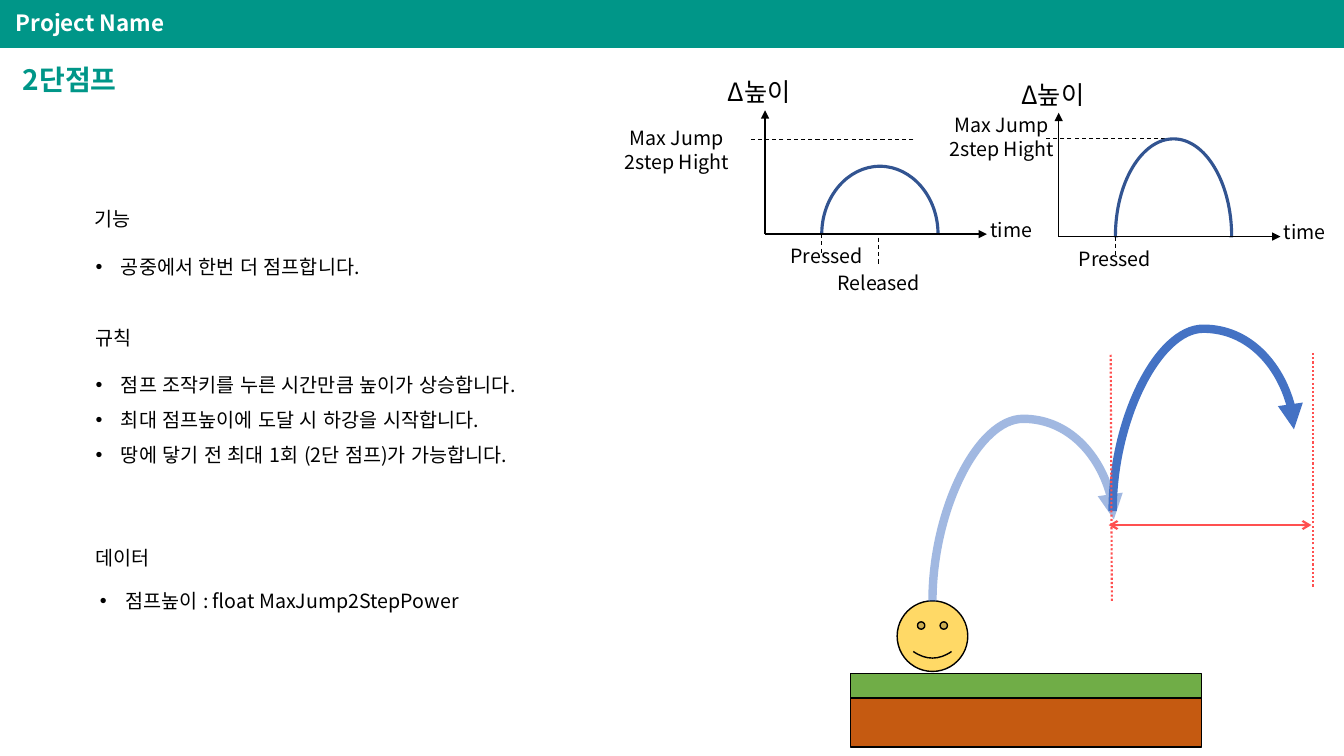
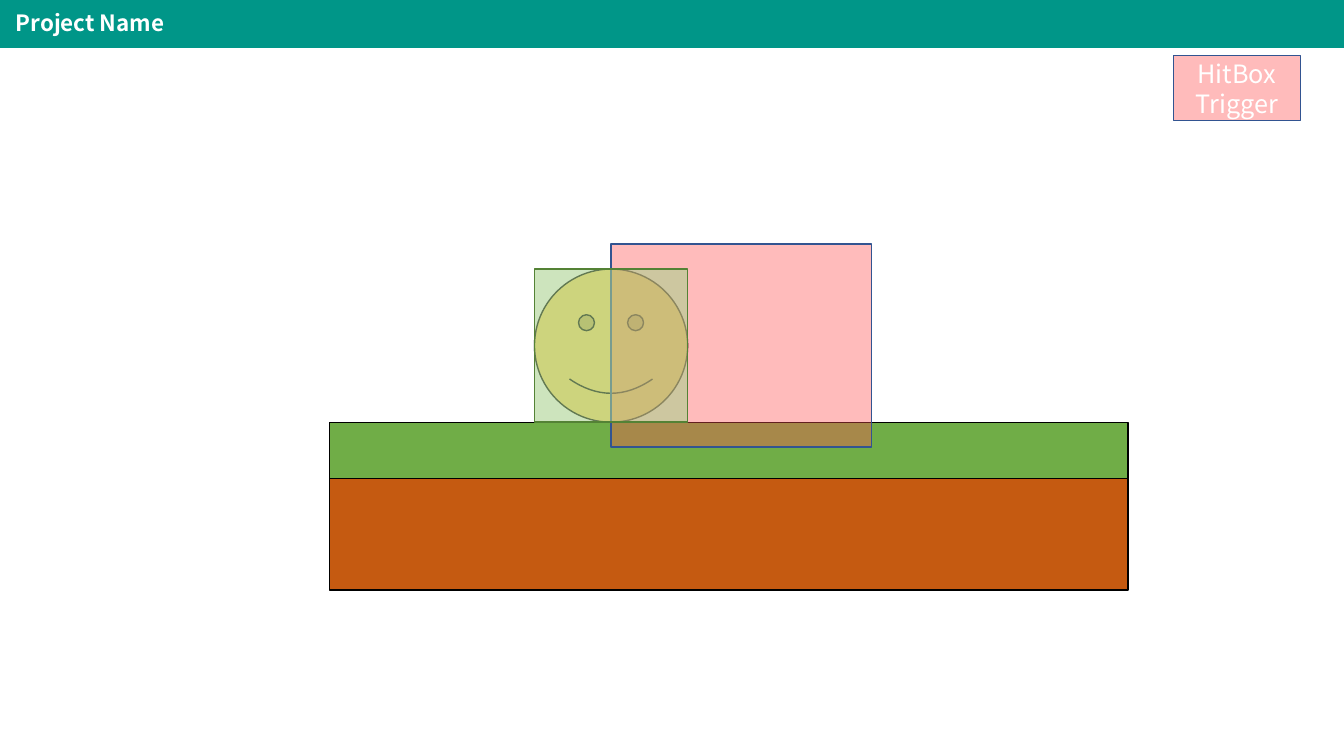
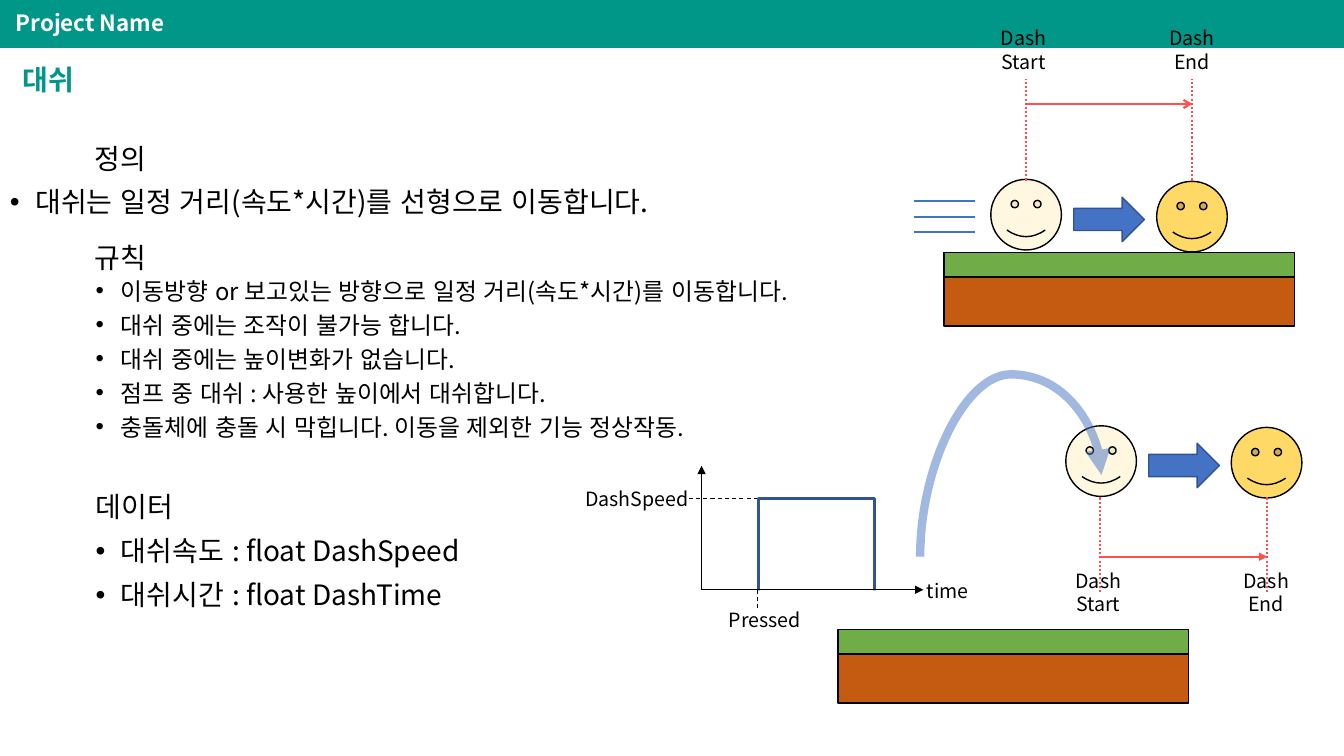
from dataclasses import dataclass
from typing import Optional

import pptx
import pptx.dml.color
import pptx.enum.dml
import pptx.enum.lang
import pptx.enum.shapes
import pptx.enum.text
import pptx.oxml.ns
import pptx.shapes.autoshape
import pptx.shapes.connector
import pptx.slide
import pptx.text.text
import pptx.util
from lxml import etree

Cm = pptx.util.Cm
Pt = pptx.util.Pt
RGBColor = pptx.dml.color.RGBColor
Shape = pptx.shapes.autoshape.Shape
Connector = pptx.shapes.connector.Connector
Slide = pptx.slide.Slide
ShapeType = pptx.enum.shapes.MSO_SHAPE
LineDash = pptx.enum.dml.MSO_LINE
Align = pptx.enum.text.PP_ALIGN
qn = pptx.oxml.ns.qn

FONT = "Noto Sans CJK KR"
TEAL = RGBColor(0x00, 0x96, 0x88)
WHITE = RGBColor(0xFF, 0xFF, 0xFF)
BLACK = RGBColor(0x00, 0x00, 0x00)
NAVY = RGBColor(0x32, 0x54, 0x91)
BLUE = RGBColor(0x44, 0x72, 0xC4)
RED = RGBColor(0xFF, 0x50, 0x50)
GRASS = RGBColor(0x70, 0xAD, 0x47)
SOIL = RGBColor(0xC5, 0x5A, 0x11)
YELLOW = RGBColor(0xFF, 0xD9, 0x66)
LIGHT_GREEN = RGBColor(0xA9, 0xD1, 0x8E)
DARK_GREEN = RGBColor(0x54, 0x82, 0x35)

SLIDE_WIDTH, SLIDE_HEIGHT = 33.87, 19.05
FACE_SIZE = 1.78
TEXT_LEFT, TEXT_WIDTH = 2.16, 19.05
BULLET_INDENT = 0.64


@dataclass(frozen=True)
class TextStyle:
    size: float = 14
    color: RGBColor = BLACK
    bold: bool = False
    align: Align = Align.LEFT
    line_spacing: Optional[float] = None
    space_before: float = 0
    bullet: bool = False


@dataclass(frozen=True)
class LineStyle:
    color: RGBColor
    width: float
    dash: Optional[LineDash] = None
    head: str = ""
    tail: str = ""
    opacity: int = 100


@dataclass(frozen=True)
class TextBlock:
    left: float
    top: float
    width: float
    height: float
    lines: tuple[str, ...]
    style: TextStyle


@dataclass(frozen=True)
class Graph:
    """A height or speed curve over time; offsets count from the origin."""
    left: float
    base: float
    level: float
    level_end: float
    level_label: tuple[str, ...]
    label_left: float
    label_rise: float
    curve_rise: float
    pressed_center: float
    pressed_drop: float = 0.13
    time_rise: float = 0.54
    is_arch: bool = True


@dataclass(frozen=True)
class DashScene:
    start_face: tuple[float, float]
    end_face: tuple[float, float]
    arrow: tuple[float, float]
    guides: tuple[float, float]
    guide_span: tuple[float, float]
    distance_top: float
    distance_tail: str
    labels: tuple[float, float]
    labels_top: float


LABEL = TextStyle(align=Align.CENTER)
AXIS = LineStyle(BLACK, 1, tail="triangle")
HELPER = LineStyle(BLACK, 0.75, LineDash.DASH)
GUIDE = LineStyle(RED, 1.5, LineDash.ROUND_DOT)
SPEED = LineStyle(BLUE, 1.5)
JUMP = LineStyle(BLUE, 6, tail="triangle")
FADED_JUMP = LineStyle(BLUE, 6, tail="triangle", opacity=50)


def heading(size: float) -> TextStyle:
    return TextStyle(size, line_spacing=0.9, space_before=10)


def bullets(size: float, line_spacing: float = 0.9) -> TextStyle:
    return TextStyle(size, line_spacing=line_spacing, space_before=10, bullet=True)


def write_text(frame: pptx.text.text.TextFrame, lines: tuple[str, ...], style: TextStyle) -> None:
    frame.word_wrap = True
    frame.text = "\n".join(lines)
    for paragraph in frame.paragraphs:
        paragraph.alignment = style.align
        paragraph.space_before = Pt(style.space_before)
        if style.line_spacing:
            paragraph.line_spacing = style.line_spacing
        if style.bullet:
            properties = paragraph._p.get_or_add_pPr()
            properties.set("marL", str(Cm(BULLET_INDENT)))
            properties.set("indent", str(-Cm(BULLET_INDENT)))
            etree.SubElement(properties, qn("a:buFont")).set("typeface", "Arial")
            etree.SubElement(properties, qn("a:buChar")).set("char", "•")
        for run in paragraph.runs:
            run.font.size = Pt(style.size)
            run.font.bold = style.bold
            run.font.color.rgb = style.color
            run.font.language_id = pptx.enum.lang.MSO_LANGUAGE_ID.KOREAN
            run.font.name = FONT
            etree.SubElement(run._r.get_or_add_rPr(), qn("a:ea")).set("typeface", FONT)


def add_text(slide: Slide, block: TextBlock) -> Shape:
    box = slide.shapes.add_textbox(Cm(block.left), Cm(block.top), Cm(block.width), Cm(block.height))
    write_text(box.text_frame, block.lines, block.style)
    return box


def add_label(slide: Slide, left: float, top: float, width: float, *lines: str) -> None:
    add_text(slide, TextBlock(left, top, width, 0.25 + 0.6 * len(lines), lines, LABEL))


def set_opacity(parent: etree._Element, percent: int) -> None:
    if percent < 100:
        color = parent.find(f"{qn('a:solidFill')}/{qn('a:srgbClr')}")
        etree.SubElement(color, qn("a:alpha")).set("val", str(percent * 1000))


def style_shape(shape: Shape, fill: Optional[RGBColor], line: Optional[RGBColor] = None,
                line_width: float = 1, opacity: int = 100) -> None:
    shape.shadow.inherit = False
    if fill is None:
        shape.fill.background()
    else:
        shape.fill.solid()
        shape.fill.fore_color.rgb = fill
        set_opacity(shape.element.spPr, opacity)
    if line is None:
        shape.line.fill.background()
    else:
        shape.line.color.rgb = line
        shape.line.width = Pt(line_width)


def add_block(slide: Slide, kind: ShapeType, left: float, top: float, width: float, height: float,
              fill: Optional[RGBColor], line: Optional[RGBColor] = None,
              line_width: float = 1, opacity: int = 100) -> Shape:
    shape = slide.shapes.add_shape(kind, Cm(left), Cm(top), Cm(width), Cm(height))
    style_shape(shape, fill, line, line_width, opacity)
    return shape


def style_connector(connector: Connector, style: LineStyle) -> None:
    connector.line.color.rgb = style.color
    connector.line.width = Pt(style.width)
    if style.dash:
        connector.line.dash_style = style.dash
    properties = connector.element.spPr
    line = properties.find(qn("a:ln"))
    set_opacity(line, style.opacity)
    for tag, arrowhead in (("a:headEnd", style.head), ("a:tailEnd", style.tail)):
        if arrowhead:
            etree.SubElement(line, qn(tag)).set("type", arrowhead)
    etree.SubElement(properties, qn("a:effectLst"))


def add_line(slide: Slide, x1: float, y1: float, x2: float, y2: float, style: LineStyle) -> None:
    connector = slide.shapes.add_connector(
        pptx.enum.shapes.MSO_CONNECTOR.STRAIGHT, Cm(x1), Cm(y1), Cm(x2), Cm(y2))
    style_connector(connector, style)


def add_jump(slide: Slide, left: float, bottom: float, style: LineStyle) -> None:
    """Draw a curved arrow that rises, turns and lands to the right, above its start."""
    run, rise = 4.57, 2.06
    box_left = left + (run - rise) / 2
    box_top = bottom - (run + rise) / 2
    connector = slide.shapes.add_connector(
        pptx.enum.shapes.MSO_CONNECTOR.CURVE,
        Cm(box_left), Cm(box_top), Cm(box_left + rise), Cm(box_top + run))
    properties = connector.element.spPr
    for name, value in (("rot", "5400000"), ("flipH", "1"), ("flipV", "1")):
        properties.find(qn("a:xfrm")).set(name, value)
    adjustments = properties.find(qn("a:prstGeom")).get_or_add_avLst()
    guide = etree.SubElement(adjustments, qn("a:gd"))
    guide.set("name", "adj1")
    guide.set("fmla", "val 223100")
    style_connector(connector, style)


def add_face(slide: Slide, left: float, top: float, size: float = FACE_SIZE, opacity: int = 100) -> None:
    add_block(slide, ShapeType.SMILEY_FACE, left, top, size, size, YELLOW, BLACK, opacity=opacity)


def add_ground(slide: Slide, left: float, top: float, width: float = 8.84, height: float = 1.86) -> None:
    grass = height / 3
    add_block(slide, ShapeType.RECTANGLE, left, top, width, grass, GRASS, BLACK)
    add_block(slide, ShapeType.RECTANGLE, left, top + grass, width, height - grass, SOIL, BLACK)


def round_corners(shape: Shape) -> None:
    """Turn the segments of a diamond outline into quarter ellipses."""
    roundness = 0.55
    points = [(int(point.get("x")), int(point.get("y"))) for point in shape.element.iter(qn("a:pt"))]
    for index, segment in enumerate(list(shape.element.iter(qn("a:lnTo")))):
        (x1, y1), (x2, y2) = points[index], points[index + 1]
        toward_x, toward_y = round((x2 - x1) * roundness), round((y2 - y1) * roundness)
        if index % 2 == 0:
            controls = (x1, y1 + toward_y), (x2 - toward_x, y2)
        else:
            controls = (x1 + toward_x, y1), (x2, y2 - toward_y)
        curve = etree.Element(qn("a:cubicBezTo"))
        for x, y in (*controls, (x2, y2)):
            etree.SubElement(curve, qn("a:pt"), x=str(x), y=str(y))
        segment.getparent().replace(segment, curve)


def add_arch(slide: Slide, left: float, base: float, width: float, rise: float) -> None:
    """Draw a half ellipse that closes with a shallow bulge below its base."""
    middle, right = Cm(left + width / 2), Cm(left + width)
    start = Cm(left), Cm(base)
    builder = slide.shapes.build_freeform(*start)
    builder.add_line_segments(
        [(middle, Cm(base - rise)), (right, Cm(base)), (middle, Cm(base + 0.3)), start], close=True)
    arch = builder.convert_to_shape()
    round_corners(arch)
    style_shape(arch, None, NAVY, 2.25)


def add_graph(slide: Slide, graph: Graph) -> None:
    left, base = graph.left, graph.base
    curve_left, curve_width, pressed = left + 1.43, 2.93, left + 1.42
    level = base - graph.level
    add_line(slide, left + graph.level_end, level, left - 0.36, level, HELPER)
    add_label(slide, left + graph.label_left, base - graph.label_rise, 4.39, *graph.level_label)
    if graph.is_arch:
        height_label = TextBlock(left - 1.19, base - 4.09, 3.23, 1.02, ("Δ높이",), TextStyle(18))
        add_text(slide, height_label)
        add_arch(slide, curve_left, base, curve_width, graph.curve_rise)
    else:
        add_block(slide, ShapeType.RECTANGLE, curve_left, level, curve_width,
                  graph.curve_rise + 0.15, None, NAVY, 2.25)
    add_block(slide, ShapeType.RECTANGLE, left + 1.25, base + 0.02, 3.15, 0.86, WHITE)
    add_line(slide, left, base, left + 5.59, base, AXIS)
    add_line(slide, left, base, left, base - 3.12, AXIS)
    add_line(slide, pressed, base, pressed, base + 0.48, HELPER)
    add_label(slide, left + graph.pressed_center - 1.42, base + graph.pressed_drop, 2.84, "Pressed")
    add_label(slide, left + 4.49, base - graph.time_rise, 3.43, "time")


def add_dash(slide: Slide, scene: DashScene) -> None:
    add_face(slide, *scene.start_face, opacity=20)
    add_face(slide, *scene.end_face)
    add_block(slide, ShapeType.RIGHT_ARROW, *scene.arrow, 1.78, 1.12, BLUE, NAVY)
    start, end = scene.guides
    for guide in scene.guides:
        add_line(slide, guide, scene.guide_span[0], guide, scene.guide_span[1], GUIDE)
    distance = LineStyle(RED, 1.5, tail=scene.distance_tail)
    add_line(slide, start, scene.distance_top, end, scene.distance_top, distance)
    for left, word in zip(scene.labels, ("Start", "End")):
        add_label(slide, left, scene.labels_top, 2.34, "Dash", word)


def add_title(slide: Slide, text: str) -> None:
    title = slide.shapes.title
    title.left, title.top, title.width, title.height = Cm(0.32), Cm(1.22), Cm(14.58), Cm(1.65)
    title.text_frame.auto_size = pptx.enum.text.MSO_AUTO_SIZE.NONE
    title.text_frame.vertical_anchor = pptx.enum.text.MSO_ANCHOR.MIDDLE
    write_text(title.text_frame, (text,), TextStyle(20, TEAL, bold=True, line_spacing=0.9))


def move_header_to_master(presentation: pptx.presentation.Presentation, slide: Slide) -> None:
    """Draw the header band on a slide, then move it to the master so every slide shows it."""
    band = add_block(slide, ShapeType.RECTANGLE, 0, 0, SLIDE_WIDTH, 1.21, TEAL)
    style = TextStyle(16, WHITE, bold=True, line_spacing=0.9)
    name = add_text(slide, TextBlock(0.15, 0.13, 29.18, 0.97, ("Project Name",), style))
    name.text_frame.vertical_anchor = pptx.enum.text.MSO_ANCHOR.MIDDLE
    master_tree = presentation.slide_master.shapes.element
    for index, shape in enumerate((band, name)):
        shape.element.nvSpPr.cNvPr.set("id", str(101 + index))
        master_tree.insert(2 + index, shape.element)


def build_double_jump(slide: Slide) -> None:
    add_title(slide, "2단점프")
    for block in (
        TextBlock(2.13, 5.16, 5.16, 1.09, ("기능",), heading(14)),
        TextBlock(TEXT_LEFT, 6.36, TEXT_WIDTH, 1.45, ("공중에서 한번 더 점프합니다.",), bullets(14)),
        TextBlock(TEXT_LEFT, 8.15, 5.16, 1.09, ("규칙",), heading(14)),
        TextBlock(TEXT_LEFT, 9.33, TEXT_WIDTH, 3.63, (
            "점프 조작키를 누른 시간만큼 높이가 상승합니다.",
            "최대 점프높이에 도달 시 하강을 시작합니다.",
            "땅에 닿기 전 최대 1회 (2단 점프)가 가능합니다."), bullets(14)),
        TextBlock(TEXT_LEFT, 13.69, 5.16, 1.09, ("데이터",), heading(14)),
        TextBlock(2.27, 14.78, TEXT_WIDTH, 3.63, ("점프높이 : float MaxJump2StepPower",), bullets(14)),
    ):
        add_text(slide, block)
    level_label = ("Max Jump", "2step Hight")
    add_graph(slide, Graph(26.68, 5.96, 2.46, 2.87, level_label, -3.63, 3.23, 2.46, 1.42))
    add_graph(slide, Graph(19.28, 5.9, 2.38, 3.74, level_label, -4.42, 2.84, 1.71, 1.55))
    add_line(slide, 22.15, 5.99, 22.15, 6.71, HELPER)
    add_label(slide, 20.43, 6.71, 3.43, "Released")

    add_ground(slide, 21.44, 16.97)
    add_face(slide, 22.61, 15.14)
    add_jump(slide, 23.5, 15.15, FADED_JUMP)
    add_jump(slide, 28.04, 12.88, JUMP)
    add_line(slide, 28.02, 15.14, 27.99, 8.89, GUIDE)
    add_line(slide, 33.1, 14.78, 33.1, 8.89, GUIDE)
    add_line(slide, 33.05, 13.23, 27.94, 13.23, LineStyle(RED, 1.5, head="arrow", tail="arrow"))


def build_hit_box(slide: Slide) -> None:
    face_left, face_top, face_size = 13.47, 6.78, 3.86
    add_ground(slide, 8.31, 10.65, 20.12, 4.22)
    add_face(slide, face_left, face_top, face_size)
    add_block(slide, ShapeType.RECTANGLE, 15.4, 6.15, 6.57, 5.12, RED, NAVY, opacity=39)
    legend = add_block(slide, ShapeType.RECTANGLE, 29.57, 1.4, 3.2, 1.64, RED, NAVY, opacity=39)
    write_text(legend.text_frame, ("HitBox", "Trigger"), TextStyle(18, WHITE, align=Align.CENTER))
    add_block(slide, ShapeType.RECTANGLE, face_left, face_top, face_size, face_size,
              LIGHT_GREEN, DARK_GREEN, opacity=58)


def build_dash(slide: Slide) -> None:
    add_title(slide, "대쉬")
    for block in (
        TextBlock(2.13, 3.53, 2.77, 1.09, ("정의",), heading(20)),
        TextBlock(0, 4.62, TEXT_WIDTH, 1.09,
                  ("대쉬는 일정 거리(속도*시간)를 선형으로 이동합니다.",), bullets(20)),
        TextBlock(2.13, 6.02, 2.77, 1.09, ("규칙",), heading(20)),
        TextBlock(TEXT_LEFT, 7.04, TEXT_WIDTH, 4.85, (
            "이동방향 or 보고있는 방향으로 일정 거리(속도*시간)를 이동합니다.",
            "대쉬 중에는 조작이 불가능 합니다.",
            "대쉬 중에는 높이변화가 없습니다.",
            "점프 중 대쉬 : 사용한 높이에서 대쉬합니다.",
            "충돌체에 충돌 시 막힙니다. 이동을 제외한 기능 정상작동."), bullets(17, 0.7)),
        TextBlock(TEXT_LEFT, 12.31, 5.16, 1.09, ("데이터",), heading(20)),
        TextBlock(TEXT_LEFT, 13.41, TEXT_WIDTH, 3.63,
                  ("대쉬속도 : float DashSpeed", "대쉬시간 : float DashTime"), bullets(20)),
    ):
        add_text(slide, block)

    add_ground(slide, 23.79, 6.36)
    for index in range(3):
        top = 5.07 + 0.39 * index
        add_line(slide, 24.56, top, 23.04, top, SPEED)
    add_dash(slide, DashScene((24.97, 4.52), (29.15, 4.57), (27.06, 4.97), (25.86, 30.05),
                              (4.55, 1.99), 2.62, "arrow", (24.63, 28.87), 0.53))
    add_ground(slide, 21.12, 15.86)
    add_dash(slide, DashScene((26.86, 10.73), (31.03, 10.77), (28.95, 11.17), (27.73, 31.94),
                              (14.92, 12.51), 14.03, "triangle", (26.51, 30.74), 14.2))
    add_jump(slide, 23.19, 14.03, FADED_JUMP)
    add_graph(slide, Graph(17.68, 14.86, 2.29, 1.42, ("DashSpeed",), -3.82, 2.72, 2.29, 1.6,
                           pressed_drop=0.33, time_rise=0.4, is_arch=False))


def main() -> None:
    presentation = pptx.Presentation()
    presentation.slide_width, presentation.slide_height = Cm(SLIDE_WIDTH), Cm(SLIDE_HEIGHT)
    title_only, blank = presentation.slide_layouts[5], presentation.slide_layouts[6]
    double_jump = presentation.slides.add_slide(title_only)
    move_header_to_master(presentation, double_jump)
    build_double_jump(double_jump)
    build_hit_box(presentation.slides.add_slide(blank))
    build_dash(presentation.slides.add_slide(title_only))
    presentation.save("out.pptx")


if __name__ == "__main__":
    main()
